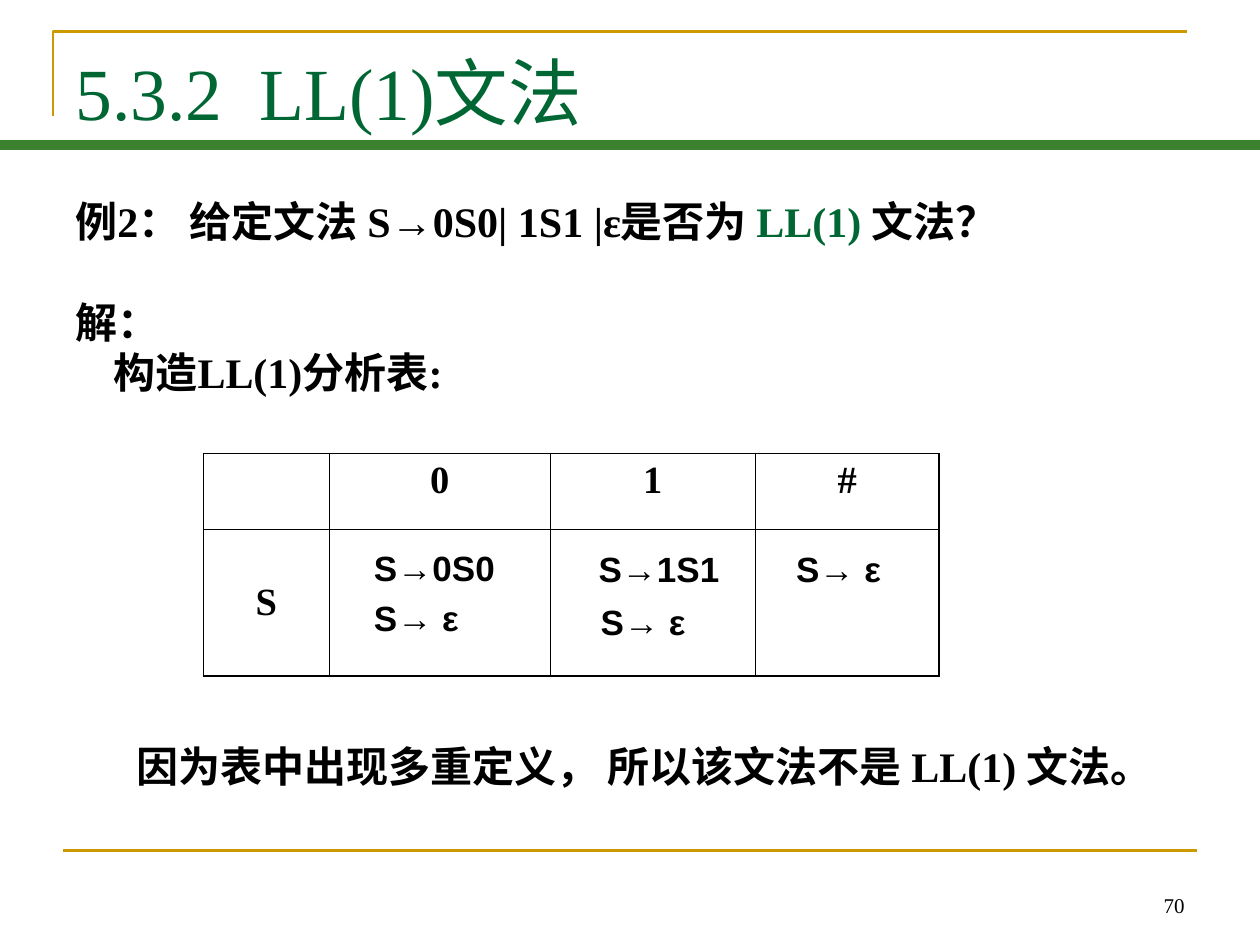
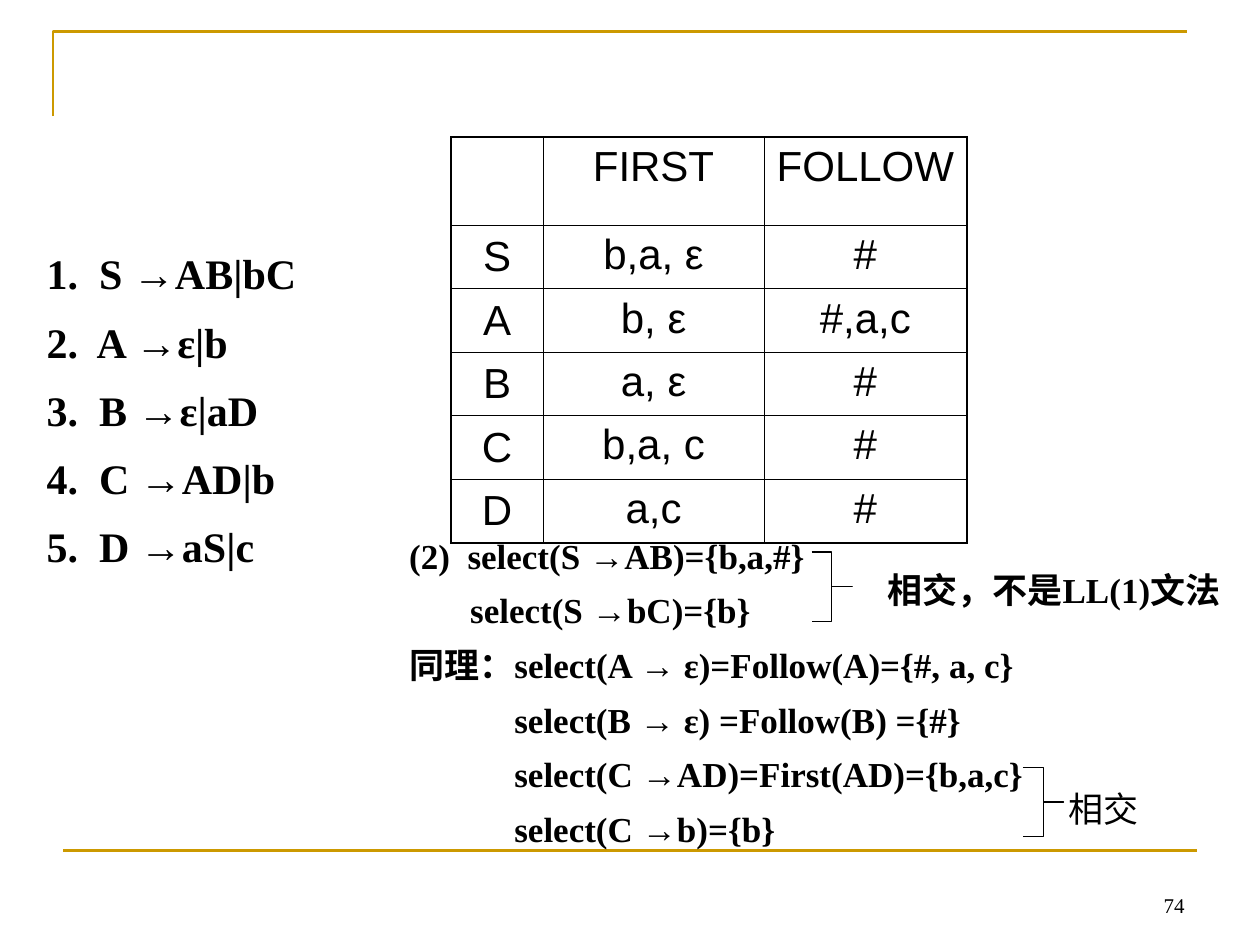
from dataclasses import dataclass
from typing import NamedTuple

from pptx import Presentation
from pptx.dml.color import RGBColor
from pptx.enum.shapes import MSO_CONNECTOR as Link
from pptx.enum.text import MSO_ANCHOR as Anchor, MSO_AUTO_SIZE as Fit, PP_ALIGN as Align
from pptx.oxml.ns import qn
from pptx.oxml.xmlchemy import OxmlElement as Element
from pptx.util import Cm, Pt

BLACK, GREEN, GOLD, BAND = "000000", "006633", "CC9900", "3B812F"
SERIF, SANS = "Times New Roman", "Arial"
THICK, THIN = 1.08, 0.45
TITLE, BLANK = 5, 6


class Run(NamedTuple):
    text: str
    hue: str = ""
    face: str = ""


@dataclass
class Line:
    runs: list[Run]
    indent: float = 0
    before: float = 0


@dataclass
class Style:
    size: float
    face: str = SERIF
    bold: bool = True
    align: Align = Align.LEFT
    pitch: float = 1.0
    hue: str = BLACK


@dataclass
class Box:
    left: float
    top: float
    width: float
    height: float
    lines: list[Line]
    style: Style
    wrap: bool = True
    anchor: Anchor = Anchor.TOP


@dataclass
class Grid:
    left: float
    top: float
    cols: list[float]
    rows: list[float]
    cells: list[list[str]]
    style: Style


def tint(code: str) -> RGBColor:
    return RGBColor.from_string(code)


def plain(text: str, indent: float = 0, before: float = 0) -> Line:
    return Line([Run(text)], indent, before)


def rule(text: str, indent: float = 0) -> Line:
    left, arrow, right = text.partition("→")
    return Line([Run(left), Run(arrow, face=SANS), Run(right)], indent)


def dress(para, style: Style) -> None:
    para.alignment = style.align
    para.line_spacing = style.pitch
    font = para.font
    font.size, font.name, font.bold = Pt(style.size), style.face, style.bold
    font.color.rgb = tint(style.hue)


def write(frame, lines: list[Line], style: Style) -> None:
    for index, line in enumerate(lines):
        para = frame.add_paragraph() if index else frame.paragraphs[0]
        if line.indent:
            para._p.get_or_add_pPr().set("marL", str(Cm(line.indent)))
        if line.before:
            para.space_before = Pt(line.before)
        dress(para, style)
        for part in line.runs:
            run = para.add_run()
            run.text = part.text
            if part.hue:
                run.font.color.rgb = tint(part.hue)
            if part.face:
                run.font.name = part.face


def add_box(slide, box: Box) -> None:
    shape = slide.shapes.add_textbox(Cm(box.left), Cm(box.top), Cm(box.width), Cm(box.height))
    frame = shape.text_frame
    frame.word_wrap = box.wrap
    frame.vertical_anchor = box.anchor
    write(frame, box.lines, box.style)


def add_rule(slide, left: float, right: float, top: float, hue: str, width: float) -> None:
    line = slide.shapes.add_connector(Link.STRAIGHT, Cm(left), Cm(top), Cm(right), Cm(top))
    line.line.color.rgb = tint(hue)
    line.line.width = Pt(width)
    line._element.spPr.append(Element("a:effectLst"))


def add_path(slide, points: list[tuple[float, float]], hue: str, width: float) -> None:
    first, *rest = [(Cm(x), Cm(y)) for x, y in points]
    pen = slide.shapes.build_freeform(*first)
    pen.add_line_segments(rest, close=False)
    shape = pen.convert_to_shape()
    shape.shadow.inherit = False
    shape.fill.background()
    shape.line.color.rgb = tint(hue)
    shape.line.width = Pt(width)


def add_brace(slide, left: float, top: float) -> None:
    mid, right = left + 0.41, left + 0.82
    half, foot = top + 0.7, top + 1.4
    points = [(left, top), (mid, top), (mid, half), (right, half),
              (mid, half), (mid, foot), (left, foot)]
    add_path(slide, points, BLACK, 0.75)


def edge(cell, tag: str, width: float) -> None:
    line = Element(f"a:{tag}")
    line.set("w", str(Pt(width)))
    fill, color = Element("a:solidFill"), Element("a:srgbClr")
    color.set("val", BLACK)
    fill.append(color)
    line.append(fill)
    cell._tc.get_or_add_tcPr().append(line)


def add_grid(slide, grid: Grid) -> None:
    high, wide = len(grid.rows), len(grid.cols)
    table = slide.shapes.add_table(high, wide, Cm(grid.left), Cm(grid.top),
                                   Cm(sum(grid.cols)), Cm(sum(grid.rows))).table
    table.first_row = table.horz_banding = False
    for col, size in zip(table.columns, grid.cols):
        col.width = Cm(size)
    for row, size in zip(table.rows, grid.rows):
        row.height = Cm(size)
    for y, texts in enumerate(grid.cells):
        for x, text in enumerate(texts):
            cell = table.cell(y, x)
            outer = {"lnL": x == 0, "lnR": x == wide - 1, "lnT": y == 0, "lnB": y == high - 1}
            for tag, out in outer.items():
                edge(cell, tag, THICK if out else THIN)
            cell.fill.background()
            if text:
                write(cell.text_frame, [plain(text)], grid.style)
            if y and not x:
                cell.vertical_anchor = Anchor.MIDDLE


def add_page(deck, layout: int, number: str):
    slide = deck.slides.add_slide(deck.slide_layouts[layout])
    add_path(slide, [(1.07, 2.34), (1.07, 0.64), (23.93, 0.64)], GOLD, 1.5)
    add_rule(slide, 1.27, 24.13, 17.15, GOLD, 1.5)
    add_box(slide, Box(18.21, 17.35, 5.92, 1.27, [plain(number)],
                       Style(12, bold=False, align=Align.RIGHT), anchor=Anchor.BOTTOM))
    return slide


def set_title(slide, text: str) -> None:
    title = slide.shapes.title
    title.left, title.top, title.width, title.height = Cm(1.27), Cm(0.76), Cm(22.83), Cm(2.16)
    frame = title.text_frame
    frame.auto_size = Fit.NONE
    frame.vertical_anchor = Anchor.MIDDLE
    write(frame, [plain(text)], Style(42, bold=False, hue=GREEN))


def add_example(deck) -> None:
    slide = add_page(deck, TITLE, "70")
    set_title(slide, "5.3.2  LL(1)文法")
    add_rule(slide, 0, 25.4, 2.92, BAND, 6)
    body = Style(24)
    ask = Line([Run("例2： 给定文法 S→0S0| 1S1 |ε是否为 "), Run("LL(1) ", GREEN), Run("文法？")])
    add_box(slide, Box(1.27, 3.81, 25.1, 4.32,
                       [ask, plain("解：", before=29), plain("构造LL(1)分析表:", 0.77)], body))
    add_grid(slide, Grid(4.1, 9.14, [2.54, 4.45, 4.14, 3.7], [1.53, 2.96],
                         [["", "0", "1", "#"], ["S", "", "", ""]],
                         Style(22, align=Align.CENTER)))
    entry = Style(20, SANS)
    mid = Style(20, SANS, align=Align.CENTER)
    for left, top, width, text, style in [
        (7.29, 10.9, 3.0, "S→0S0", entry),
        (7.29, 11.91, 3.2, "S→ ε", entry),
        (11.81, 10.92, 2.95, "S→1S1", mid),
        (11.63, 11.99, 2.67, "S→ ε", mid),
        (15.8, 10.92, 3.1, "S→ ε", entry),
    ]:
        add_box(slide, Box(left, top, width, 1.12, [plain(text)], style, wrap=text != "S→1S1"))
    add_box(slide, Box(2.5, 14.81, 22.2, 1.27,
                       [plain("因为表中出现多重定义， 所以该文法不是 LL(1) 文法。")], body))


def add_sets(deck) -> None:
    slide = add_page(deck, BLANK, "74")
    add_grid(slide, Grid(9.09, 2.76, [1.86, 4.45, 4.09], [1.78] + [1.28] * 5,
                         [["", "FIRST", "FOLLOW"], ["S", "b,a, ε", "#"], ["A", "b, ε", "#,a,c"],
                          ["B", "a, ε", "#"], ["C", "b,a, c", "#"], ["D", "a,c", "#"]],
                         Style(24, SANS, False, Align.CENTER)))
    picks = [
        rule("(2)  select(S →AB)={b,a,#}"),
        rule("select(S →bC)={b}", 1.23),
        rule("同理：select(A → ε)=Follow(A)={#, a, c}"),
        rule("select(B → ε) =Follow(B) ={#}", 2.12),
        rule("select(C →AD)=First(AD)={b,a,c}", 2.12),
        rule("select(C →b)={b}", 2.12),
    ]
    add_box(slide, Box(8.0, 10.39, 17.6, 6.86, picks, Style(20, pitch=1.3)))
    names = ["S →AB|bC", "A →ε|b", "B →ε|aD", "C →AD|b", "D →aS|c"]
    rules = [rule(f"{index}.  {name}") for index, name in enumerate(names, 1)]
    add_box(slide, Box(0.69, 4.52, 6.25, 7.11, rules, Style(24, pitch=1.35)))
    add_brace(slide, 16.36, 11.13)
    add_box(slide, Box(17.09, 11.33, 8.31, 1.12, [plain("相交，不是LL(1)文法")],
                       Style(20, align=Align.CENTER)))
    add_brace(slide, 20.62, 15.47)
    add_box(slide, Box(21.29, 15.75, 1.93, 1.12, [plain("相交")],
                       Style(20, bold=False, align=Align.CENTER)))


def main() -> None:
    deck = Presentation()
    deck.slide_width, deck.slide_height = Cm(25.4), Cm(19.05)
    add_example(deck)
    add_sets(deck)
    deck.save("out.pptx")


if __name__ == "__main__":
    main()
